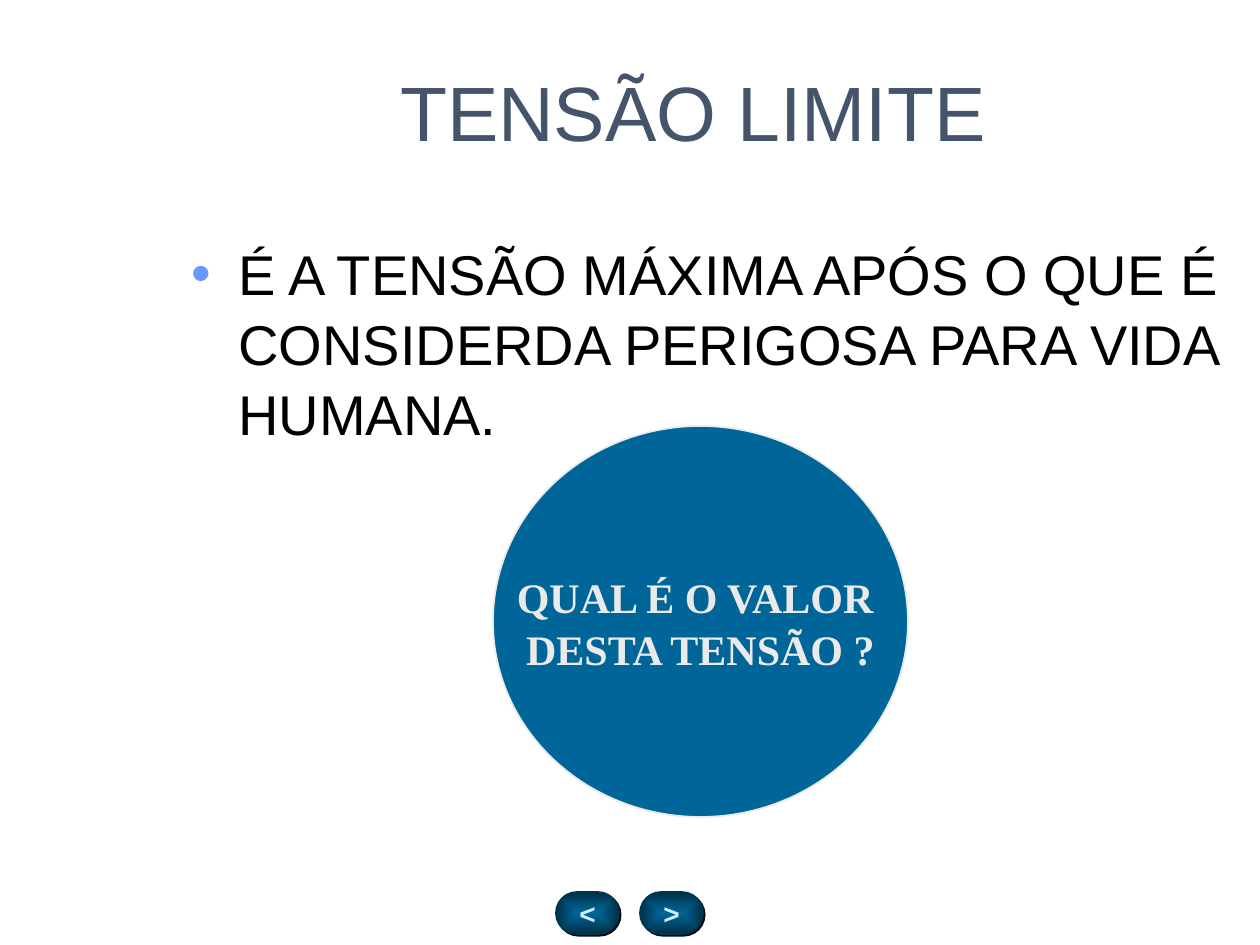
"""Build the slide on limit voltage with its question circle and navigation buttons."""
from lxml import etree
from pptx import Presentation
from pptx.dml.color import RGBColor
from pptx.enum.shapes import MSO_SHAPE
from pptx.enum.text import MSO_ANCHOR, PP_ALIGN
from pptx.oxml import parse_xml
from pptx.oxml.ns import nsdecls, qn
from pptx.util import Pt

ELLIPSE, PILL = MSO_SHAPE.OVAL, MSO_SHAPE.ROUNDED_RECTANGLE
MIDDLE, TOP = MSO_ANCHOR.MIDDLE, MSO_ANCHOR.TOP
CENTER, LEFT = PP_ALIGN.CENTER, PP_ALIGN.LEFT

TITLE = "TENSÃO LIMITE"
DEFINITION = "É A TENSÃO MÁXIMA APÓS O QUE É CONSIDERDA PERIGOSA PARA VIDA HUMANA."
QUESTION = ["QUAL É O VALOR ", "DESTA TENSÃO ?"]
BUTTONS = [">", "<"]

COLORS = {
    "title": "44546A", "body": "000000", "bullet": "6699FF", "blue": "006699",
    "pale": "EAEAEA", "button_text": "CCECFF", "button_edge": "002F46",
    "button_line": "00354E", "button_shadow": "000B10",
}
EMU_PER_PX = 914400 / 126
SLIDE_SIZE = (1260, 945)
TITLE_BOX = (158, 32, 1071, 158)
DEFINITION_BOX = (179, 231, 1071, 567)
QUESTION_BOX = (493, 426, 415, 391)
FIRST_BUTTON = (640, 892, 63, 42)
BUTTON_STEP = -84
BULLET_INDENT = 47


def px(length):
    """Turn px into EMU."""
    return round(length * EMU_PER_PX)


def color(name):
    """Look up a colour by its role."""
    return RGBColor.from_string(COLORS[name])


def write(shape, lines, *, size, ink, font="Arial", bold=False, align=CENTER,
          anchor=MIDDLE, wrap=True, spacing=None, bullet=None):
    """Fill a shape with formatted paragraphs."""
    frame = shape.text_frame
    frame.word_wrap = wrap
    frame.vertical_anchor = anchor
    for index, line in enumerate(lines):
        paragraph = frame.add_paragraph() if index else frame.paragraphs[0]
        paragraph.alignment = align
        if spacing:
            paragraph.line_spacing = spacing
        if bullet:
            add_bullet(paragraph, bullet)
        run = paragraph.add_run()
        run.text = line
        run.font.size, run.font.name, run.font.bold = Pt(size), font, bold
        run.font.color.rgb = color(ink)


def add_bullet(paragraph, ink):
    """Give a paragraph a coloured bullet and a hanging indent."""
    props = paragraph._p.get_or_add_pPr()
    props.set("marL", str(px(BULLET_INDENT)))
    props.set("indent", str(-px(BULLET_INDENT)))
    tint = etree.SubElement(props, qn("a:buClr"))
    etree.SubElement(tint, qn("a:srgbClr")).set("val", COLORS[ink])
    etree.SubElement(props, qn("a:buFont")).set("typeface", "Arial")
    etree.SubElement(props, qn("a:buChar")).set("char", "•")


def add_box(slide, box):
    """Add a text box at a px position."""
    return slide.shapes.add_textbox(*map(px, box))


def add_outlined(slide, kind, box, line):
    """Add a blue preset shape with a thin outline."""
    shape = slide.shapes.add_shape(kind, *map(px, box))
    shape.shadow.inherit = False
    shape.fill.solid()
    shape.fill.fore_color.rgb = color("blue")
    shape.line.color.rgb = color(line)
    shape.line.width = Pt(1)
    return shape


def add_button(slide, label, box):
    """Add a pill button with a centred gradient and a hard shadow."""
    button = add_outlined(slide, PILL, box, "button_line")
    button.adjustments[0] = 0.5
    props = button._element.spPr
    gradient = parse_xml(
        f'<a:gradFill {nsdecls("a")} rotWithShape="0"><a:gsLst>'
        f'<a:gs pos="0"><a:srgbClr val="{COLORS["blue"]}"/></a:gs>'
        f'<a:gs pos="100000"><a:srgbClr val="{COLORS["button_edge"]}"/></a:gs></a:gsLst>'
        '<a:path path="rect"><a:fillToRect l="50000" t="50000" r="50000" b="50000"/>'
        '</a:path></a:gradFill>')
    props.replace(props.find(qn("a:solidFill")), gradient)
    props.find(qn("a:effectLst")).append(parse_xml(
        f'<a:outerShdw {nsdecls("a")} blurRad="0" dist="{Pt(1.4)}" dir="2700000" '
        f'algn="ctr" rotWithShape="0"><a:srgbClr val="{COLORS["button_shadow"]}"/>'
        '</a:outerShdw>'))
    write(button, [label], size=16, ink="button_text", bold=True, wrap=False)


def main():
    """Lay out the slide and save it."""
    deck = Presentation()
    deck.slide_width, deck.slide_height = map(px, SLIDE_SIZE)
    slide = deck.slides.add_slide(deck.slide_layouts[6])
    write(add_box(slide, TITLE_BOX), [TITLE], size=44, ink="title")
    left, top, width, height = FIRST_BUTTON
    for index, label in enumerate(BUTTONS):
        add_button(slide, label, (left + index * BUTTON_STEP, top, width, height))
    write(add_box(slide, DEFINITION_BOX), [DEFINITION], size=32, ink="body",
          align=LEFT, anchor=TOP, spacing=1.04, bullet="bullet")
    question = add_outlined(slide, ELLIPSE, QUESTION_BOX, "pale")
    write(question, QUESTION, size=24, ink="pale", font="Times New Roman",
          bold=True, wrap=False, spacing=1.05)
    deck.save("out.pptx")


if __name__ == "__main__":
    main()
